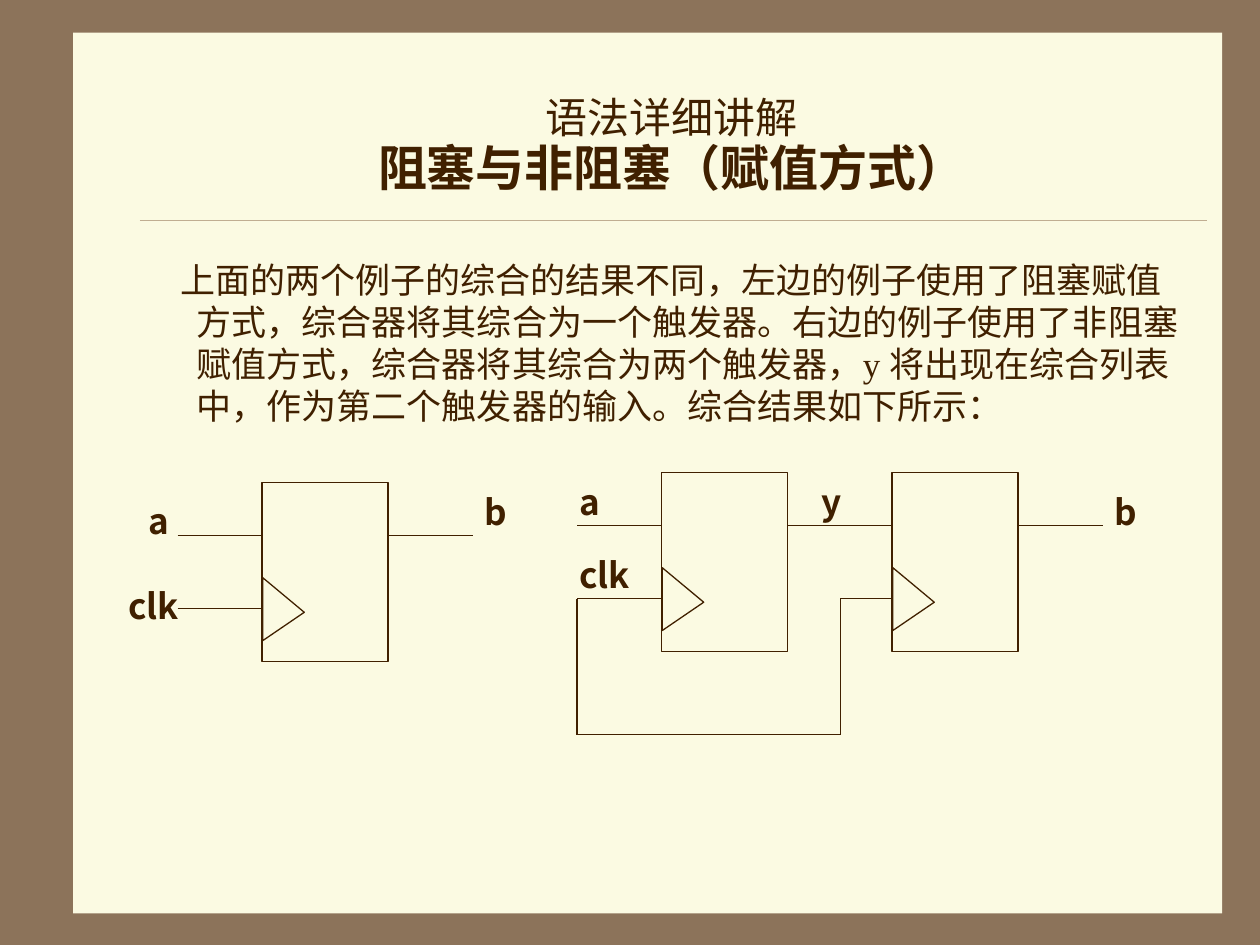
from dataclasses import dataclass

from lxml.etree import SubElement
from pptx import Presentation
from pptx.dml.color import RGBColor
from pptx.enum.shapes import MSO_CONNECTOR, MSO_SHAPE
from pptx.enum.text import MSO_ANCHOR, MSO_AUTO_SIZE, PP_ALIGN
from pptx.oxml.ns import qn
from pptx.util import Inches, Pt


@dataclass(frozen=True)
class Theme:
    frame: RGBColor = RGBColor(0x8C, 0x73, 0x5A)
    paper: RGBColor = RGBColor(0xFB, 0xFA, 0xE2)
    rule: RGBColor = RGBColor(0xA0, 0x83, 0x66)
    ink: RGBColor = RGBColor(0x40, 0x20, 0x00)
    sans: str = "Noto Sans CJK SC"
    serif: str = "Times New Roman"
    topic_size: Pt = Pt(24)
    heading_size: Pt = Pt(28)
    text_size: Pt = Pt(20)
    heading_spacing: Pt = Pt(31)
    body_spacing: Pt = Pt(24)
    label_spacing: Pt = Pt(25)
    wire_width: Pt = Pt(0.75)
    rule_width: Pt = Pt(0.25)


THEME = Theme()
BODY_TEXT = (
    "上面的两个例子的综合的结果不同，左边的例子使用了阻塞赋值方式，"
    "综合器将其综合为一个触发器。右边的例子使用了非阻塞赋值方式，"
    "综合器将其综合为两个触发器，y 将出现在综合列表中，"
    "作为第二个触发器的输入。综合结果如下所示："
)
LABELS = [
    ("a", 1.08, 3.9, 0.33),
    ("b", 3.75, 3.83, 0.33),
    ("clk", 0.92, 4.58, 0.67),
    ("clk", 4.5, 4.33, 0.67),
    ("a", 4.5, 3.75, 0.33),
    ("b", 8.75, 3.83, 0.33),
    ("y", 6.42, 3.75, 0.33),
]
BLOCK_WIDTH, BLOCK_HEIGHT = 1, 1.42
DATA_DROP, CLOCK_DROP = 0.42, 1
PIN_LENGTH = 0.67


def place(shape, left, top, width, height):
    shape.left, shape.top = Inches(left), Inches(top)
    shape.width, shape.height = Inches(width), Inches(height)


def format_run(run, size, font=THEME.sans, bold=False):
    run.font.size = size
    run.font.name = font
    run.font.bold = bold
    run.font.color.rgb = THEME.ink
    SubElement(run._r.get_or_add_rPr(), qn("a:ea")).set("typeface", THEME.sans)


def add_line(slide, start, end, color=THEME.ink, width=THEME.wire_width):
    points = [Inches(value) for value in (*start, *end)]
    line = slide.shapes.add_connector(MSO_CONNECTOR.STRAIGHT, *points)
    line.line.color.rgb = color
    line.line.width = width
    SubElement(line.element.spPr, qn("a:effectLst"))
    return line


def add_outline(slide, kind, left, top, width, height):
    shape = slide.shapes.add_shape(
        kind, Inches(left), Inches(top), Inches(width), Inches(height)
    )
    shape.shadow.inherit = False
    shape.fill.background()
    shape.line.color.rgb = THEME.ink
    shape.line.width = THEME.wire_width
    return shape


def add_backdrop(slide):
    slide.background.fill.solid()
    slide.background.fill.fore_color.rgb = THEME.frame
    panel = add_outline(slide, MSO_SHAPE.RECTANGLE, 0.58, 0.26, 9.12, 6.99)
    panel.fill.solid()
    panel.fill.fore_color.rgb = THEME.paper
    panel.line.fill.background()
    rule = add_line(slide, (1.11, 1.75), (9.58, 1.75), THEME.rule, THEME.rule_width)
    for shape in (panel, rule):
        slide.shapes.title.element.addprevious(shape.element)


def fill_title(title):
    place(title, 1.08, 0.5, 8.5, 1.25)
    title.fill.solid()
    title.fill.fore_color.rgb = THEME.paper
    title.text_frame.auto_size = MSO_AUTO_SIZE.NONE
    title.text_frame.vertical_anchor = MSO_ANCHOR.MIDDLE
    paragraph = title.text_frame.paragraphs[0]
    paragraph.text = "语法详细讲解\v阻塞与非阻塞（赋值方式）"
    paragraph.alignment = PP_ALIGN.CENTER
    paragraph.line_spacing = THEME.heading_spacing
    topic, heading = paragraph.runs
    format_run(topic, THEME.topic_size)
    format_run(heading, THEME.heading_size, bold=True)


def fill_body(body):
    place(body, 1.08, 2, 8.5, 4.5)
    body.text_frame.auto_size = MSO_AUTO_SIZE.NONE
    paragraph = body.text_frame.paragraphs[0]
    paragraph.text = BODY_TEXT
    paragraph.alignment = PP_ALIGN.LEFT
    paragraph.line_spacing = THEME.body_spacing
    paragraph.space_before = Pt(0)
    properties = paragraph._p.get_or_add_pPr()
    properties.set("marL", str(Inches(0.38)))
    properties.set("indent", str(Inches(-0.13)))
    SubElement(properties, qn("a:buNone"))
    format_run(paragraph.runs[0], THEME.text_size, THEME.serif)


def add_flip_flop(slide, left, top, clock_length=PIN_LENGTH):
    right = left + BLOCK_WIDTH
    data_y, clock_y = top + DATA_DROP, top + CLOCK_DROP
    add_outline(slide, MSO_SHAPE.RECTANGLE, left, top, BLOCK_WIDTH, BLOCK_HEIGHT)
    marker = add_outline(
        slide, MSO_SHAPE.ISOSCELES_TRIANGLE, left - 0.08, top + 0.84, 0.5, 0.33
    )
    marker.rotation = 90
    marker.adjustments[0] = 0.55
    add_line(slide, (left - clock_length, clock_y), (left, clock_y))
    add_line(slide, (left - PIN_LENGTH, data_y), (left, data_y))
    add_line(slide, (right, data_y), (right + PIN_LENGTH, data_y))


def add_clock_route(slide, left, right, top, bottom):
    for x in (left, right):
        add_line(slide, (x, top), (x, bottom))
    add_line(slide, (left, bottom), (right, bottom))


def add_label(slide, text, left, top, width):
    label = slide.shapes.add_textbox(
        Inches(left), Inches(top), Inches(width), Inches(0.44)
    )
    label.text_frame.word_wrap = True
    label.text_frame.text = text
    paragraph = label.text_frame.paragraphs[0]
    paragraph.line_spacing = THEME.label_spacing
    format_run(paragraph.runs[0], THEME.text_size, bold=True)


def main():
    presentation = Presentation()
    presentation.slide_width, presentation.slide_height = Inches(10), Inches(7.5)
    slide = presentation.slides.add_slide(presentation.slide_layouts[1])
    add_backdrop(slide)
    fill_title(slide.shapes.title)
    fill_body(slide.placeholders[1])
    add_flip_flop(slide, 2.08, 3.83)
    add_flip_flop(slide, 5.25, 3.75)
    add_flip_flop(slide, 7.08, 3.75, clock_length=0.41)
    add_clock_route(slide, 4.58, 6.67, 4.75, 5.83)
    for label in LABELS:
        add_label(slide, *label)
    presentation.save("out.pptx")


if __name__ == "__main__":
    main()
